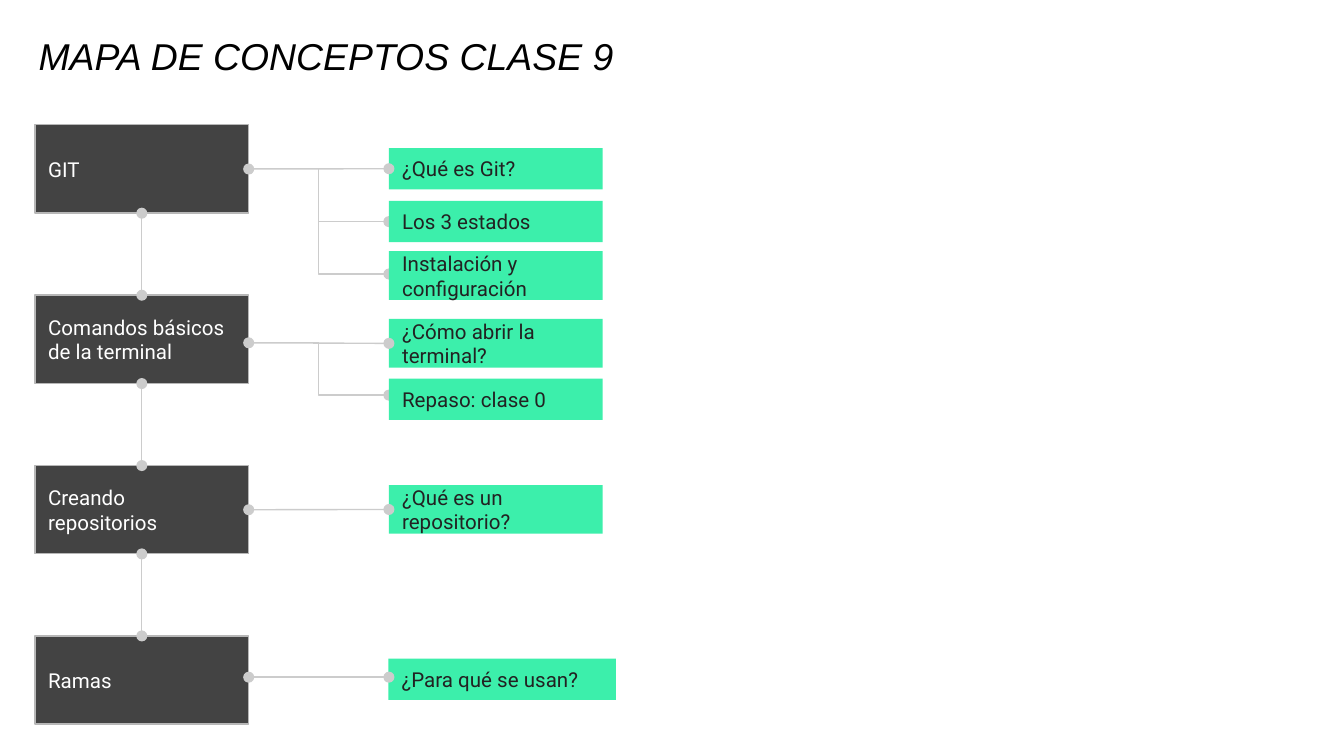
import pptx
import pptx.dml.color
import pptx.enum.shapes
import pptx.enum.text
import pptx.oxml.ns
import pptx.util
from lxml import etree

Cm = pptx.util.Cm
Pt = pptx.util.Pt
RGBColor = pptx.dml.color.RGBColor
CONNECTOR = pptx.enum.shapes.MSO_CONNECTOR
ANCHOR = pptx.enum.text.MSO_ANCHOR
qn = pptx.oxml.ns.qn

BLACK = RGBColor(0x00, 0x00, 0x00)
WHITE = RGBColor(0xFF, 0xFF, 0xFF)
DARK = RGBColor(0x43, 0x43, 0x43)
BORDER = RGBColor(0xB7, 0xB7, 0xB7)
LINK = RGBColor(0xCC, 0xCC, 0xCC)
GREEN = RGBColor(0x3C, 0xEF, 0xAB)
INK = RGBColor(0x22, 0x22, 0x22)

deck = pptx.Presentation()
deck.slide_width = Cm(25.4)
deck.slide_height = Cm(14.29)
page = deck.slides.add_slide(deck.slide_layouts[6])


def write(box, text, size, font, color, anchor):
    frame = box.text_frame
    frame.word_wrap = True
    frame.vertical_anchor = anchor
    frame.margin_left = frame.margin_right = Cm(0.25)
    frame.margin_top = frame.margin_bottom = Cm(0.25)
    para = frame.paragraphs[0]
    para.alignment = pptx.enum.text.PP_ALIGN.LEFT
    span = para.add_run()
    span.text = text
    span.font.size = Pt(size)
    span.font.name = font
    span.font.color.rgb = color
    return span


def link(kind, x1, y1, x2, y2, ends):
    line = page.shapes.add_connector(kind, Cm(x1), Cm(y1), Cm(x2), Cm(y2))
    line.line.color.rgb = LINK
    line.line.width = Pt(0.75)
    outline = line.line._get_or_add_ln()
    for end in ends:
        etree.SubElement(outline, qn("a:" + end), type="oval")
    etree.SubElement(line._element.spPr, qn("a:effectLst"))
    return line


# Title
title = page.shapes.add_textbox(Cm(0.48), Cm(0.56), Cm(20.98), Cm(1.17))
write(title, "MAPA DE CONCEPTOS CLASE 9", 20, "Arial", BLACK,
      ANCHOR.BOTTOM).font.italic = True

# Topic column and subtopic column
LEFT, TOP, WIDTH, HEIGHT, PITCH = 0.66, 2.36, 4.04, 1.67, 3.22
RIGHT = LEFT + WIDTH
MIDDLE = LEFT + WIDTH / 2
SUB_LEFT = 7.35

# Topic, then its subtopics: text, left, top, width, height, link height
concepts = [
    ("GIT", [
        ("¿Qué es Git?", SUB_LEFT, 2.8, WIDTH, 0.78, 3.19),
        ("Los 3 estados", SUB_LEFT, 3.8, WIDTH, 0.78, 4.19),
        ("Instalación y configuración", SUB_LEFT, 4.75, WIDTH, 0.92, 5.18),
    ]),
    ("Comandos básicos de la terminal", [
        ("¿Cómo abrir la terminal?", SUB_LEFT, 6.03, WIDTH, 0.92, 6.48),
        ("Repaso: clase 0", SUB_LEFT, 7.16, WIDTH, 0.78, 7.47),
    ]),
    ("Creando repositorios", [
        ("¿Qué es un repositorio?", SUB_LEFT, 9.17, WIDTH, 0.92, 9.63),
    ]),
    ("Ramas", [
        ("¿Para qué se usan?", 7.34, 12.45, 4.3, 0.78, 12.8),
    ]),
]

# Bent links run behind the boxes
for topic, subtopics in concepts:
    start = subtopics[0][-1]
    for subtopic in subtopics[1:]:
        link(CONNECTOR.ELBOW, RIGHT, start, SUB_LEFT, subtopic[-1], ["tailEnd"])

# Boxes and straight links
previous = None
for row, (topic, subtopics) in enumerate(concepts):
    top = TOP + row * PITCH
    topic_box = page.shapes.add_shape(
        pptx.enum.shapes.MSO_SHAPE.RECTANGLE,
        Cm(LEFT), Cm(top), Cm(WIDTH), Cm(HEIGHT))
    topic_box.shadow.inherit = False
    topic_box.fill.solid()
    topic_box.fill.fore_color.rgb = DARK
    topic_box.line.color.rgb = BORDER
    topic_box.line.width = Pt(0.75)
    write(topic_box, topic, 11, "Roboto", WHITE, ANCHOR.MIDDLE)

    if previous is not None:
        down = link(CONNECTOR.STRAIGHT, MIDDLE, top - PITCH + HEIGHT,
                    MIDDLE, top, ["headEnd", "tailEnd"])
        down.begin_connect(previous, 2)
        down.end_connect(topic_box, 0)
    previous = topic_box

    for order, (text, left, sub_top, width, height, link_y) in enumerate(subtopics):
        sub_box = page.shapes.add_shape(
            pptx.enum.shapes.MSO_SHAPE.RECTANGLE,
            Cm(left), Cm(sub_top), Cm(width), Cm(height))
        sub_box.shadow.inherit = False
        sub_box.fill.solid()
        sub_box.fill.fore_color.rgb = GREEN
        sub_box.line.fill.background()
        write(sub_box, text, 11, "Roboto", INK, ANCHOR.MIDDLE)
        if order == 0:
            across = link(CONNECTOR.STRAIGHT, RIGHT, link_y, SUB_LEFT, link_y,
                          ["headEnd", "tailEnd"])
            # Join only the ends that meet the middle of a side
            if abs(top + HEIGHT / 2 - link_y) < 0.03:
                across.begin_connect(topic_box, 3)
            if abs(sub_top + height / 2 - link_y) < 0.03:
                across.end_connect(sub_box, 1)

deck.save("out.pptx")
